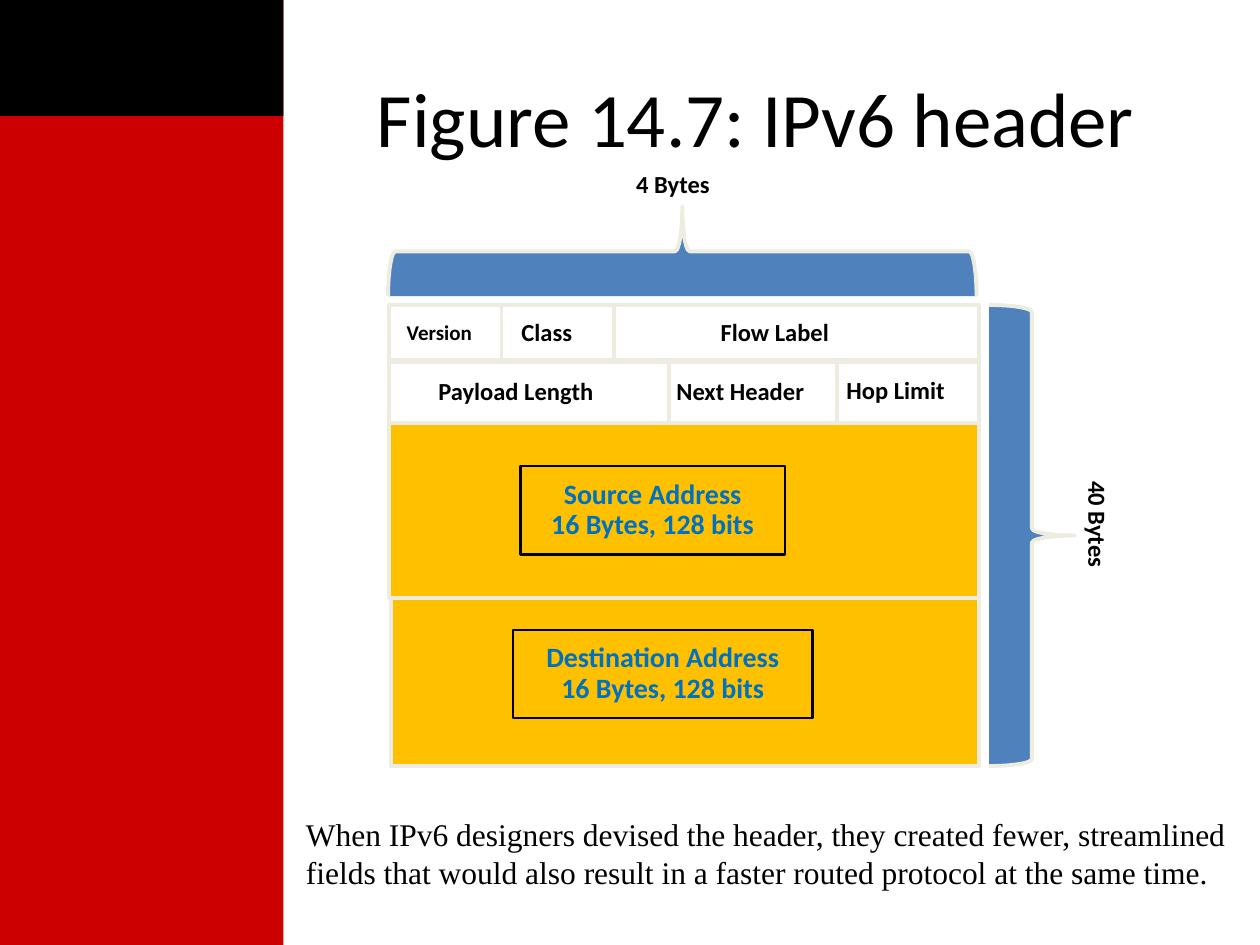
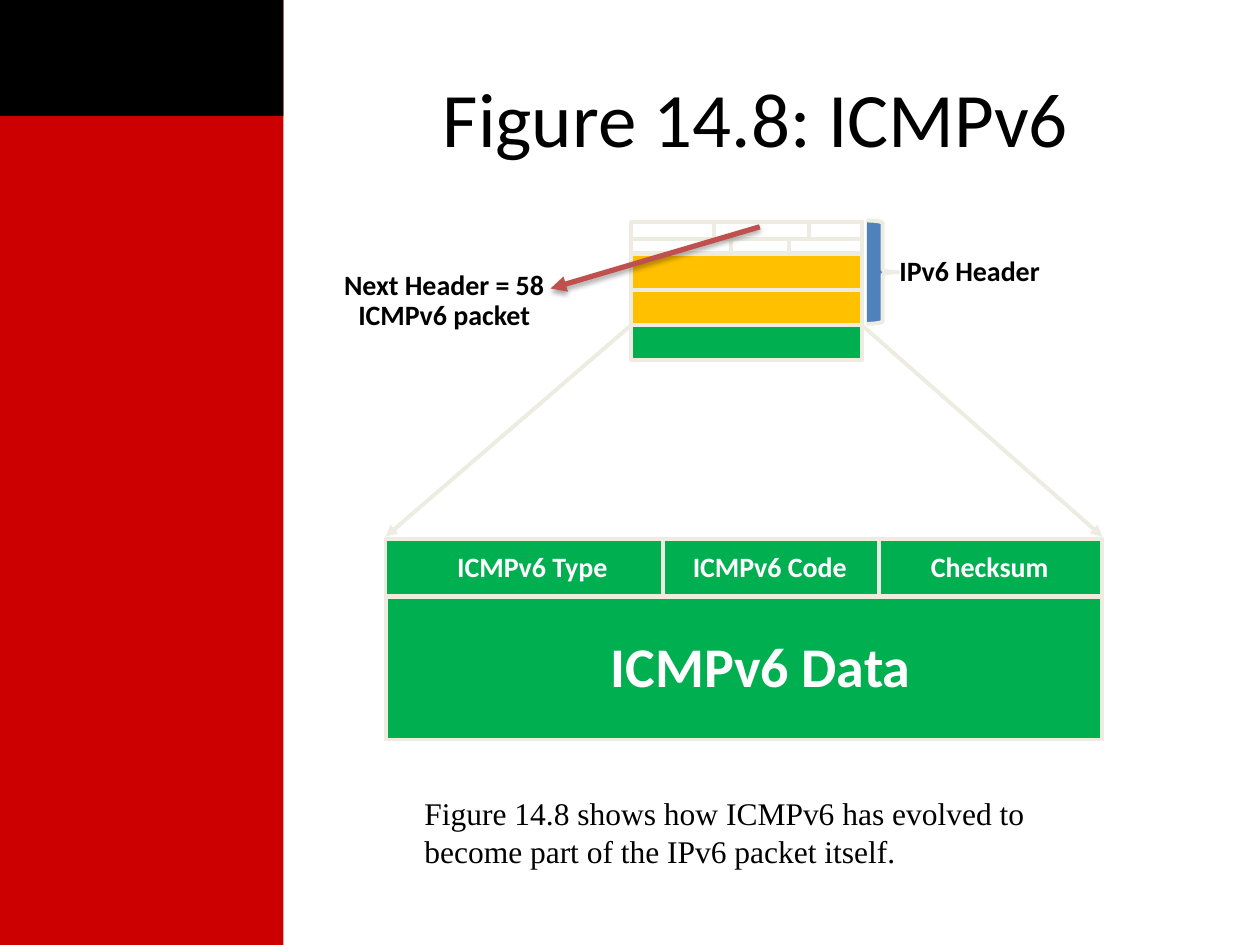
from lxml.etree import SubElement
from pptx import Presentation
from pptx.dml.color import RGBColor
from pptx.enum.shapes import MSO_CONNECTOR, MSO_SHAPE
from pptx.enum.text import MSO_ANCHOR, MSO_AUTO_SIZE, PP_ALIGN
from pptx.oxml.ns import qn
from pptx.util import Inches, Pt

RED, BLACK, WHITE = "CC0000", "000000", "FFFFFF"
AMBER, GREEN, BLUE, LINK_BLUE = "FFC000", "00B050", "4F81BD", "0070C0"
EDGE, ARROW_RED = "EEECE1", "C0504D"
SIDEBAR = 2.25

colour = RGBColor.from_string


def add_box(slide, at, fill, edge=None, weight=2.25, kind=MSO_SHAPE.RECTANGLE):
    """Add a filled preset shape; at is left, top, width, height in inches."""
    box = slide.shapes.add_shape(kind, *map(Inches, at))
    box.shadow.inherit = False
    box.fill.solid()
    box.fill.fore_color.rgb = colour(fill)
    if edge:
        box.line.color.rgb = colour(edge)
        box.line.width = Pt(weight)
    else:
        box.line.fill.background()
    return box


def write(shape, lines, size, ink=BLACK, align=PP_ALIGN.LEFT, label=True):
    """Write lines as bold Calibri labels, or as wrapped serif body text."""
    frame = shape.text_frame
    frame.word_wrap = not label
    frame.auto_size = MSO_AUTO_SIZE.SHAPE_TO_FIT_TEXT
    frame.vertical_anchor = MSO_ANCHOR.MIDDLE if label else MSO_ANCHOR.TOP
    for number, line in enumerate(lines):
        paragraph = frame.add_paragraph() if number else frame.paragraphs[0]
        paragraph.alignment = align
        if label:
            paragraph.line_spacing = 0.9
        run = paragraph.add_run()
        run.text = line
        run.font.name = "Calibri" if label else "Times New Roman"
        run.font.size = Pt(size)
        run.font.bold = label
        run.font.color.rgb = colour(ink)


deck = Presentation()
deck.slide_width, deck.slide_height = Inches(10), Inches(7.5)
layout = deck.slide_layouts[5]
title_area = layout.placeholders[0]
title_area.left, title_area.top = Inches(2.5), Inches(0.3)
title_area.width, title_area.height = Inches(7), Inches(1.25)

# Each slide: title, then caption position and wording
figures = [
    ("Figure 14.7: IPv6 header", (2.33, 6.42, 7.67, 0.71),
     "When IPv6 designers devised the header, they created fewer, streamlined "
     "fields that would also result in a faster routed protocol at the same time."),
    ("Figure 14.8: ICMPv6", (3.27, 6.25, 5.58, 0.71),
     "Figure 14.8 shows how ICMPv6 has evolved to become part of the IPv6 packet itself."),
]
for title, caption_at, caption in figures:
    slide = deck.slides.add_slide(layout)
    heading = slide.shapes.title.text_frame
    heading.vertical_anchor = MSO_ANCHOR.MIDDLE
    heading.paragraphs[0].alignment = PP_ALIGN.CENTER
    run = heading.paragraphs[0].add_run()
    run.text = title
    run.font.name, run.font.size = "Calibri", Pt(44)
    run.font.color.rgb = colour(BLACK)
    write(slide.shapes.add_textbox(*map(Inches, caption_at)), [caption], 18, label=False)
header_slide, icmp_slide = deck.slides

# The sidebar belongs to the shared layout, behind its placeholders
for height, fill in [(0.92, BLACK), (7.5, RED)]:
    band = add_box(header_slide, (0, 0, SIDEBAR, height), fill)
    layout.element.cSld.spTree.insert(2, band.element)

# Callout lines: start, end, colour, weight
callouts = [
    ((5.01, 2.58), (3.06, 4.26), EDGE, 2.25),
    ((6.84, 2.58), (8.75, 4.26), EDGE, 2.25),
    ((6.03, 1.8), (4.37, 2.29), ARROW_RED, 3),
]
for start, end, ink, weight in callouts:
    arrow = icmp_slide.shapes.add_connector(MSO_CONNECTOR.STRAIGHT, *map(Inches, start + end))
    arrow.line.color.rgb = colour(ink)
    arrow.line.width = Pt(weight)
    properties = arrow.element.spPr
    SubElement(properties.find(qn("a:ln")), qn("a:tailEnd"), type="triangle")
    effects = SubElement(properties, qn("a:effectLst"))
    if ink == ARROW_RED:
        shadow = SubElement(effects, qn("a:outerShdw"), blurRad=str(Pt(3.1)),
                            dist=str(Pt(1.8)), dir="5400000", rotWithShape="0")
        shade = SubElement(shadow, qn("a:srgbClr"), val=BLACK)
        SubElement(shade, qn("a:alpha"), val="35000")

# Field rows, bottom up: slide, top, height, fill, column edges
field_rows = [
    (header_slide, 4.74, 1.34, AMBER, [3.1, 7.77]),
    (header_slide, 3.36, 1.39, AMBER, [3.09, 7.77]),
    (header_slide, 2.87, 0.49, WHITE, [3.09, 5.31, 6.64, 7.77]),
    (header_slide, 2.42, 0.44, WHITE, [3.09, 3.98, 4.87, 7.77]),
    (icmp_slide, 4.74, 1.13, GREEN, [3.06, 8.75]),
    (icmp_slide, 4.28, 0.45, GREEN, [3.06, 5.26, 6.98, 8.75]),
    (icmp_slide, 2.58, 0.28, GREEN, [5.01, 6.84]),
    (icmp_slide, 2.3, 0.28, AMBER, [5.01, 6.84]),
    (icmp_slide, 2.02, 0.28, AMBER, [5.01, 6.84]),
    (icmp_slide, 1.9, 0.11, WHITE, [5.01, 5.8, 6.26, 6.84]),
    (icmp_slide, 1.76, 0.14, WHITE, [5.01, 5.67, 6.42, 6.84]),
]
for slide, top, height, fill, edges in field_rows:
    for left, right in zip(edges, edges[1:]):
        add_box(slide, (left, top, right - left, height), fill, EDGE)

# The red arrow lies over the small header
icmp_slide.shapes.element.append(arrow.element) if hasattr(icmp_slide.shapes, "element") \
    else icmp_slide.element.cSld.spTree.append(arrow.element)

for address, at in [("Destination Address", (4.07, 5, 2.38, 0.7)),
                    ("Source Address", (4.13, 3.7, 2.1, 0.7))]:
    address_box = add_box(header_slide, at, AMBER, BLACK, 1.5)
    write(address_box, [address, "16 Bytes, 128 bits"], 16, LINK_BLUE, PP_ALIGN.CENTER)

braces = [
    (header_slide, (7.85, 2.42, 0.68, 3.66), MSO_SHAPE.LEFT_BRACE, 180),
    (header_slide, (5.06, -0.34, 0.71, 4.67), MSO_SHAPE.LEFT_BRACE, 90),
    (icmp_slide, (6.88, 1.75, 0.25, 0.82), MSO_SHAPE.RIGHT_BRACE, 0),
]
for slide, at, kind, turn in braces:
    brace = add_box(slide, at, BLUE, EDGE, kind=kind)
    brace.adjustments[0], brace.adjustments[1] = 0.083, 0.5
    brace.rotation = turn

# Labels: slide, position, lines, size, colour, rotation
labels = [
    (header_slide, (3.38, 2.93, 1.65, 0.37), ["Payload Length"], 14, BLACK, 0),
    (header_slide, (5.27, 2.93, 1.4, 0.37), ["Next Header"], 14, BLACK, 0),
    (header_slide, (6.62, 2.92, 1.13, 0.37), ["Hop Limit"], 14, BLACK, 0),
    (header_slide, (5.62, 2.46, 1.22, 0.37), ["Flow Label"], 14, BLACK, 0),
    (header_slide, (4.04, 2.46, 0.7, 0.37), ["Class"], 14, BLACK, 0),
    (header_slide, (3.13, 2.48, 1.07, 0.34), ["Version"], 12, BLACK, 0),
    (header_slide, (8.17, 4.07, 1.06, 0.36), ["40 Bytes"], 14, BLACK, 90),
    (header_slide, (4.95, 1.29, 1.35, 0.37), ["4 Bytes"], 14, BLACK, 0),
    (icmp_slide, (4.75, 5.02, 2.6, 0.59), ["ICMPv6 Data"], 32, WHITE, 0),
    (icmp_slide, (3.53, 4.34, 1.41, 0.34), ["ICMPv6 Type"], 16, WHITE, 0),
    (icmp_slide, (5.4, 4.34, 1.44, 0.34), ["ICMPv6 Code"], 16, WHITE, 0),
    (icmp_slide, (7.29, 4.34, 1.15, 0.34), ["Checksum"], 16, WHITE, 0),
    (icmp_slide, (2.62, 2.1, 1.81, 0.59), ["Next Header = 58", "ICMPv6 packet"], 16, BLACK, 0),
    (icmp_slide, (7.04, 1.99, 1.33, 0.34), ["IPv6 Header"], 16, BLACK, 0),
]
for slide, at, lines, size, ink, turn in labels:
    label = slide.shapes.add_textbox(*map(Inches, at))
    label.rotation = turn
    write(label, lines, size, ink, PP_ALIGN.CENTER if len(lines) > 1 else PP_ALIGN.LEFT)

deck.save("out.pptx")
